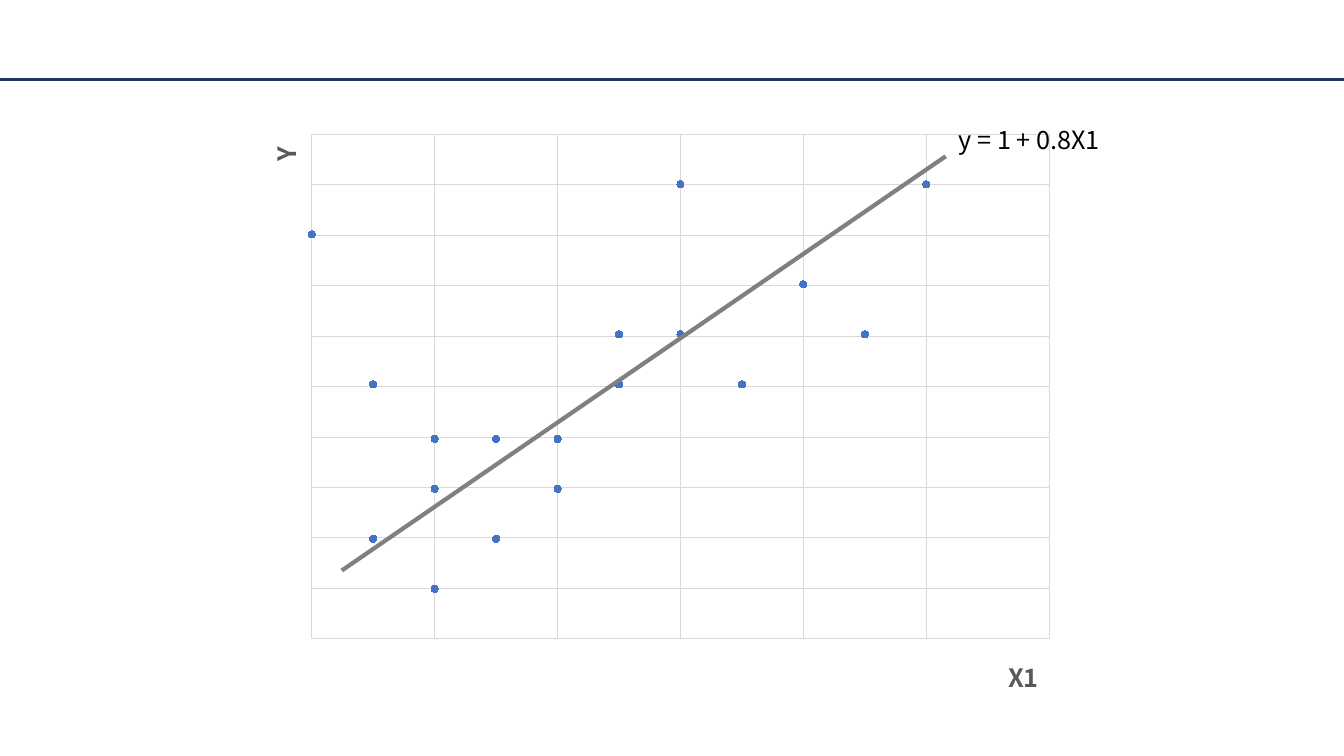
from dataclasses import dataclass

from lxml.etree import Element, SubElement
from pptx import Presentation
from pptx.chart.data import XyChartData
from pptx.dml.color import RGBColor as Rgb
from pptx.enum.chart import XL_CHART_TYPE as Kind, XL_MARKER_STYLE as Mark
from pptx.enum.shapes import MSO_CONNECTOR as Link
from pptx.enum.text import MSO_AUTO_SIZE as Fit
from pptx.oxml.ns import qn
from pptx.util import Inches, Pt


@dataclass(frozen=True)
class Theme:
    font: str = "Noto Sans CJK KR"
    navy: str = "203864"
    blue: str = "4472C4"
    gray: str = "808080"
    grid: str = "D9D9D9"
    dim: str = "595959"
    black: str = "000000"
    base: int = 10
    large: int = 18


@dataclass(frozen=True)
class Rule:
    start: tuple[float, float]
    end: tuple[float, float]
    color: str
    width: float


@dataclass(frozen=True)
class Scale:
    title: str
    top: float
    step: float
    left: float
    high: float
    turn: int


THEME = Theme()
HEAD = Rule((0, 0.79), (13.33, 0.79), THEME.navy, 2.25)
TREND = Rule((3.39, 5.66), (9.38, 1.55), THEME.gray, 3)
X_SCALE = Scale("X1", 12, 2, 0.87, 0.89, 0)
Y_SCALE = Scale("Y", 111, 11.1, 0.04, 0.04, -90)
POINTS = [
    (1, 22), (2, 33), (3, 22), (4, 44), (5, 56), (6, 67), (7, 56),
    (8, 78), (9, 67), (0, 89), (10, 100), (2, 44), (3, 44), (4, 33),
    (5, 67), (6, 100), (1, 22), (2, 11), (1, 56),
]


def style(font, size: int, color: str, bold: bool = False) -> None:
    font.name = THEME.font
    font.size = Pt(size)
    font.bold = bold
    font.color.rgb = Rgb.from_string(color)


def draw_rule(slide, rule: Rule) -> None:
    ends = [Inches(n) for n in (*rule.start, *rule.end)]
    line = slide.shapes.add_connector(Link.STRAIGHT, *ends)
    line.line.color.rgb = Rgb.from_string(rule.color)
    line.line.width = Pt(rule.width)
    SubElement(line._element.spPr, qn("a:effectLst"))


def make_layout(**parts) -> Element:
    layout = Element(qn("c:layout"))
    manual = SubElement(layout, qn("c:manualLayout"))
    for tag, value in parts.items():
        SubElement(manual, qn(f"c:{tag}")).set("val", str(value))
    return layout


def drop_layout(node) -> None:
    old = node.find(qn("c:layout"))
    if old is not None:
        node.remove(old)


def set_axis(axis, scale: Scale) -> None:
    axis.minimum_scale = 0
    axis.maximum_scale = scale.top
    axis.major_unit = scale.step
    axis.has_major_gridlines = True
    grid = axis.major_gridlines.format.line
    grid.color.rgb = Rgb.from_string(THEME.grid)
    grid.width = Pt(0.75)
    axis.visible = False
    title = axis.axis_title
    frame = title.text_frame
    frame.text = scale.title
    style(frame.paragraphs[0].runs[0].font, THEME.large, THEME.dim, True)
    frame._txBody.bodyPr.set("rot", str(scale.turn * 60000))
    frame._txBody.bodyPr.set("vert", "horz")
    node = title._element
    drop_layout(node)
    node.find(qn("c:tx")).addnext(
        make_layout(xMode="edge", yMode="edge", x=scale.left, y=scale.high))


def draw_chart(slide) -> None:
    data = XyChartData()
    group = data.add_series("Series 1")
    for x, y in POINTS:
        group.add_data_point(x, y)
    box = [Inches(n) for n in (2.22, 1.18, 8.89, 5.93)]
    chart = slide.shapes.add_chart(Kind.XY_SCATTER, *box, data).chart
    chart.has_legend = False
    chart.has_title = False
    style(chart.font, THEME.base, THEME.black)
    set_axis(chart.category_axis, X_SCALE)
    set_axis(chart.value_axis, Y_SCALE)
    plot = chart.plots[0]
    plot.vary_by_categories = False
    dots = plot.series[0]
    dots.format.line.fill.background()
    dots.marker.style = Mark.CIRCLE
    dots.marker.size = 5
    look = dots.marker.format
    look.fill.solid()
    look.fill.fore_color.rgb = Rgb.from_string(THEME.blue)
    look.line.color.rgb = Rgb.from_string(THEME.blue)
    area = chart._chartSpace.chart.plotArea
    drop_layout(area)
    area.insert(0, make_layout(
        layoutTarget="inner", xMode="edge", yMode="edge",
        x=0.098, y=0.026, w=0.823, h=0.844))


def draw_label(slide) -> None:
    box = [Inches(n) for n in (9.41, 1.18, 1.8, 0.4)]
    frame = slide.shapes.add_textbox(*box).text_frame
    frame.text = "y = 1 + 0.8X1"
    frame.word_wrap = False
    frame.auto_size = Fit.SHAPE_TO_FIT_TEXT
    style(frame.paragraphs[0].runs[0].font, THEME.large, THEME.black)


def main() -> None:
    deck = Presentation()
    deck.slide_width = Inches(13.33)
    deck.slide_height = Inches(7.5)
    slide = deck.slides.add_slide(deck.slide_layouts[6])
    draw_rule(slide, HEAD)
    draw_chart(slide)
    draw_rule(slide, TREND)
    draw_label(slide)
    deck.save("out.pptx")


if __name__ == "__main__":
    main()
